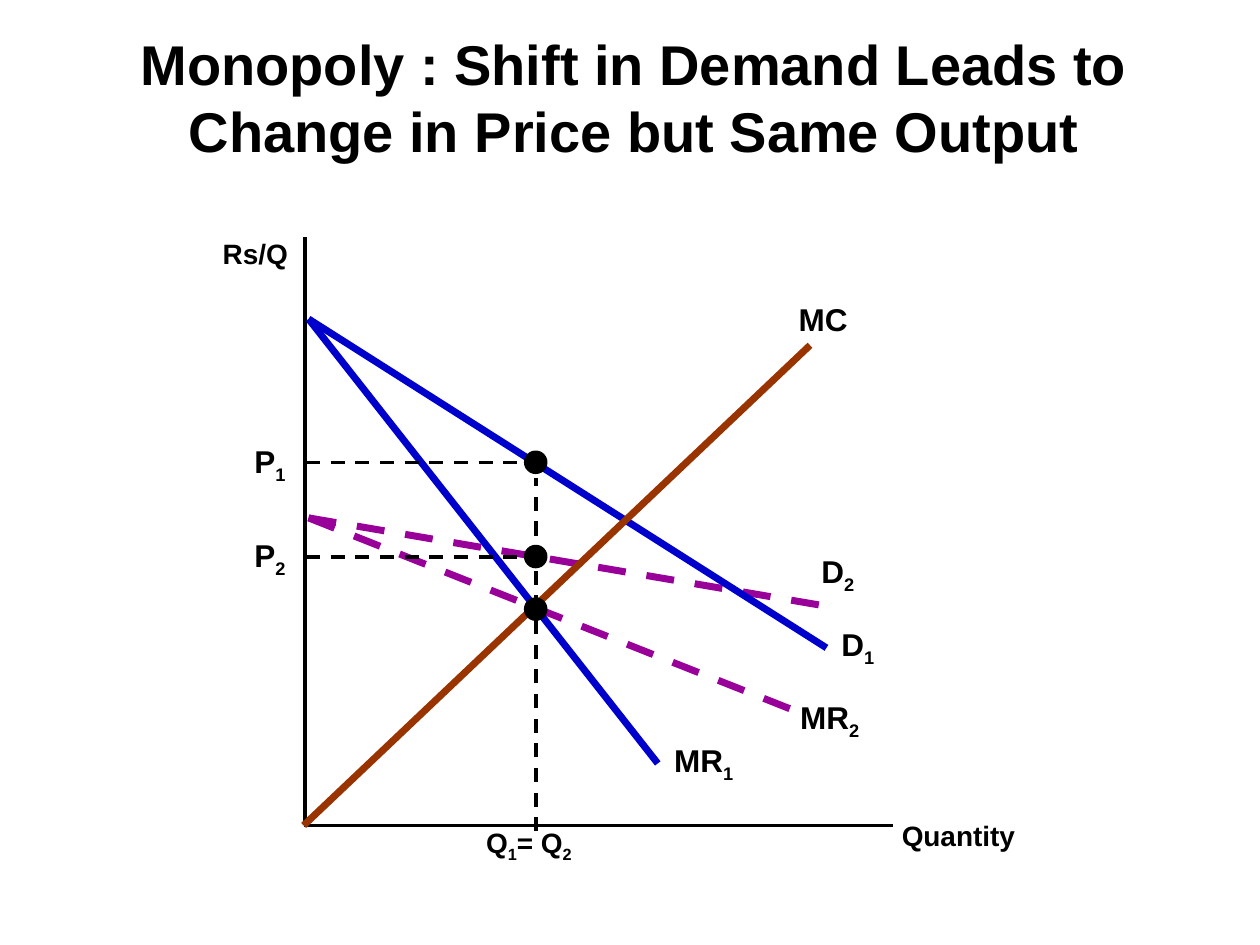
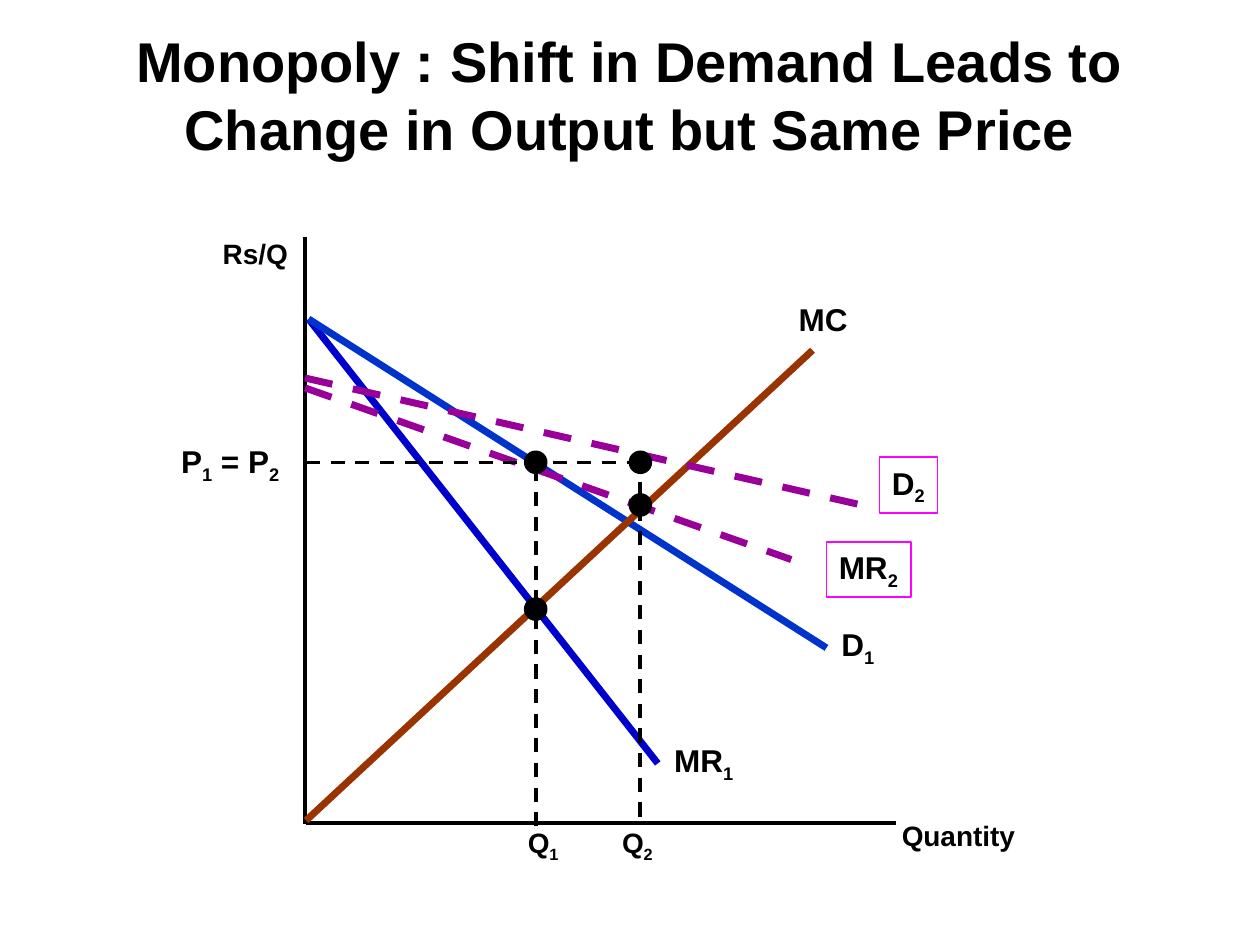
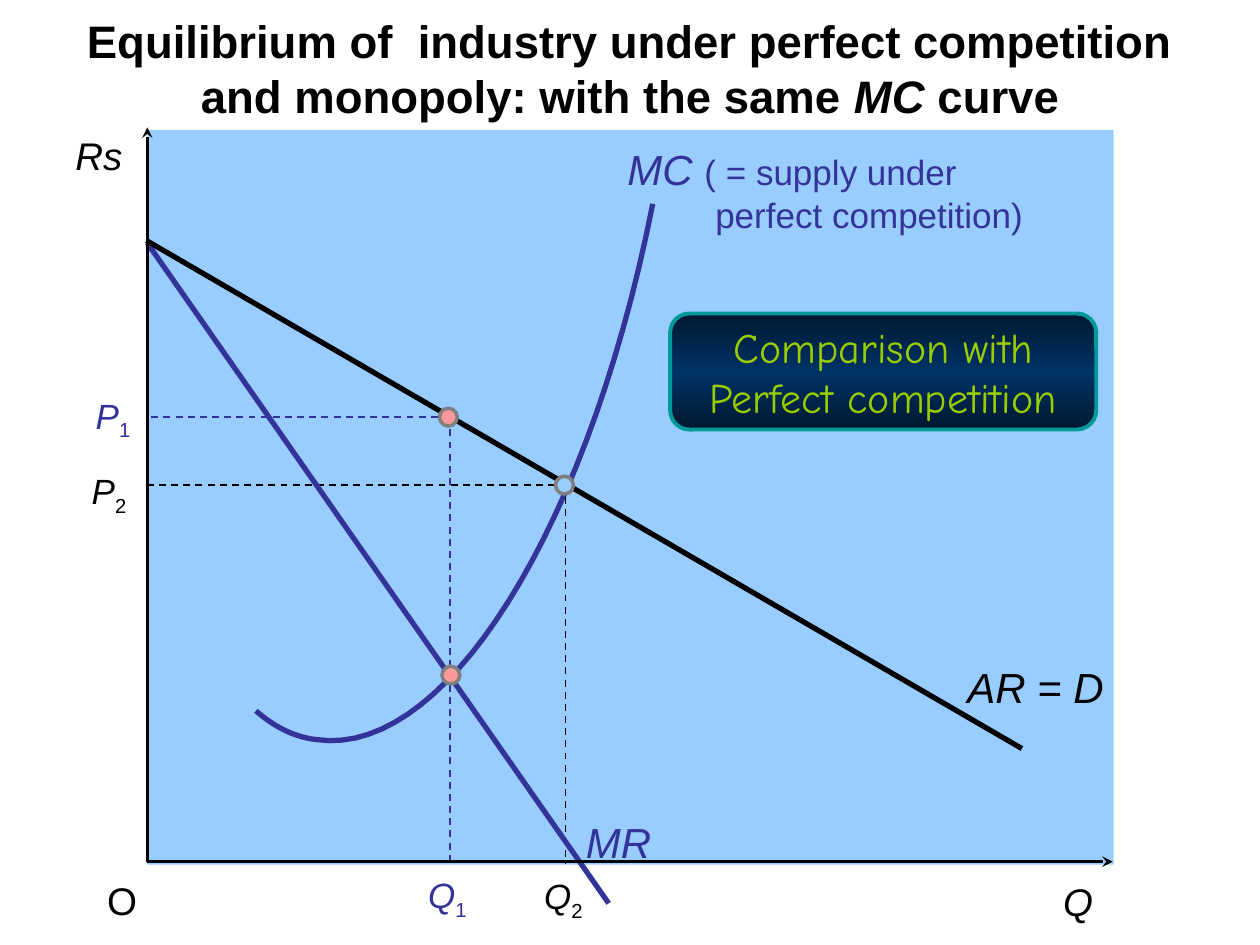
from copy import deepcopy

from lxml.etree import SubElement
from pptx import Presentation
from pptx.dml.color import RGBColor
from pptx.enum.dml import MSO_LINE
from pptx.enum.shapes import MSO_CONNECTOR, MSO_SHAPE
from pptx.enum.text import MSO_ANCHOR as ANCHOR, PP_ALIGN as ALIGN
from pptx.oxml.ns import qn
from pptx.util import Cm, Pt

BLACK = RGBColor(0x00, 0x00, 0x00)
BLUE = RGBColor(0x00, 0x00, 0xCC)
ROYAL = RGBColor(0x00, 0x33, 0xCC)
PURPLE = RGBColor(0x99, 0x00, 0x99)
BROWN = RGBColor(0x99, 0x33, 0x00)
MAGENTA = RGBColor(0xFF, 0x00, 0xFF)
INDIGO = RGBColor(0x33, 0x33, 0x99)
SKY = RGBColor(0x99, 0xCC, 0xFF)
SALMON = RGBColor(0xFF, 0x99, 0x99)
GREY = RGBColor(0x80, 0x80, 0x80)
TEAL = RGBColor(0x00, 0x99, 0x99)
LIME = RGBColor(0x99, 0xCC, 0x00)
NAVY = RGBColor(0x00, 0x33, 0x66)
NIGHT = RGBColor(0x00, 0x18, 0x2F)


def write(box, text, size, color=BLACK, bold=False, align=ALIGN.LEFT,
          anchor=ANCHOR.TOP, wrap=False, font="Arial"):
    """Pieces are split by |; a leading _ makes a subscript, a leading / italics."""
    frame = box.text_frame
    frame.word_wrap = wrap
    frame.vertical_anchor = anchor
    for number, line in enumerate(text.split("\n")):
        para = frame.add_paragraph() if number else frame.paragraphs[0]
        para.alignment = align
        para.font.name = font
        para.font.size = Pt(size)
        para.font.bold = bold
        para.font.color.rgb = color
        for piece in line.split("|"):
            span = para.add_run()
            span.text = piece.lstrip("_/")
            if piece.startswith("/"):
                span.font.italic = True
            elif piece.startswith("_"):
                span.font._element.set("baseline", "-25000")
    return frame


def draw_line(page, ends, color, width, dashed=False, arrow=False):
    line = page.shapes.add_connector(MSO_CONNECTOR.STRAIGHT, *map(Cm, ends))
    line.line.color.rgb = color
    line.line.width = Pt(width)
    if dashed:
        line.line.dash_style = MSO_LINE.DASH
    properties = line._element.spPr
    if arrow:
        SubElement(properties.find(qn("a:ln")), qn("a:tailEnd"), type="stealth")
    SubElement(properties, qn("a:effectLst"))


deck = Presentation()
deck.slide_width = Cm(25.4)
deck.slide_height = Cm(19.05)
blank = deck.slide_layouts[6]

mr1 = ((6.22, 6.43, 13.26, 15.39), BLUE, False)
d1_ends = (6.22, 6.43, 16.66, 13.06)
shared_labels = [
    ("D|_1", 16.71, 12.47, 1.17, 1.12, 18),
    ("MR|_1", 13.34, 14.81, 1.7, 1.12, 18),
    ("MC", 15.85, 5.92, 1.5, 1.02, 18),
    ("Rs/Q", 4.24, 4.65, 1.83, 0.93, 16),
    ("Quantity", 17.93, 16.38, 2.79, 0.93, 16),
]
monopoly_pages = [
    {
        "title": "Monopoly : Shift in Demand Leads to\nChange in Price but Same Output",
        "title_area": (1.7, 0.84, 22.17, 2.59),
        "quantity_axis": (6.12, 16.64, 18.01, 16.64),
        "curves": [
            ((6.22, 10.44, 16.03, 14.33), PURPLE, True),
            ((6.22, 10.44, 16.66, 12.22), PURPLE, True),
            mr1,
            (d1_ends, BLUE, False),
            ((6.12, 16.64, 16.33, 6.96), BROWN, False),
        ],
        "guides": [
            (6.17, 11.23, 10.77, 11.23),
            (6.17, 9.32, 10.77, 9.32),
            (10.8, 16.76, 10.8, 9.63),
        ],
        "dots": [(10.8, 12.28), (10.8, 11.22), (10.8, 9.32)],
        "labels": [
            ("D|_2", 16.31, 11, 1.17, 1.12, 18),
            ("MR|_2", 15.88, 13.94, 1.7, 1.12, 18),
            ("P|_2", 4.88, 10.69, 1.14, 1.12, 18),
            ("P|_1", 4.88, 8.79, 1.14, 1.12, 18),
            ("Q|_1|= Q|_2", 9.55, 16.51, 2.24, 1.02, 16),
        ],
        "framed_labels": [],
    },
    {
        "title": "Monopoly : Shift in Demand Leads to\nChange in Output but Same Price",
        "title_area": (1.27, 0.64, 22.86, 2.74),
        "quantity_axis": (6.17, 16.59, 18.06, 16.59),
        "curves": [
            mr1,
            (d1_ends, ROYAL, False),
            ((6.17, 16.54, 16.38, 7.06), BROWN, False),
            ((6.15, 7.82, 15.95, 11.28), PURPLE, True),
            ((6.15, 7.62, 17.63, 10.24), PURPLE, True),
        ],
        "guides": [
            (6.17, 9.32, 12.88, 9.32),
            (10.8, 16.66, 10.8, 9.53),
            (12.9, 16.46, 12.9, 9.27),
        ],
        "dots": [(10.8, 12.28), (10.8, 9.32), (12.91, 10.18), (12.91, 9.32)],
        "labels": [
            ("P|_1| = P|_2", 3.4, 8.79, 2.49, 1.12, 18),
            ("Q|_1", 10.39, 16.51, 1.12, 1.02, 16),
            ("Q|_2", 12.29, 16.51, 1.12, 1.02, 16),
        ],
        "framed_labels": [
            ("MR|_2", 16.66, 10.92, 1.7, 1.12, 18),
            ("D|_2", 17.73, 9.22, 1.17, 1.12, 18),
        ],
    },
]

for content in monopoly_pages:
    page = deck.slides.add_slide(blank)
    title = page.shapes.add_textbox(*map(Cm, content["title_area"]))
    write(title, content["title"], 32, bold=True, align=ALIGN.CENTER,
          anchor=ANCHOR.BOTTOM, wrap=True)
    draw_line(page, (6.15, 4.78, 6.15, 16.61), BLACK, 2)
    draw_line(page, content["quantity_axis"], BLACK, 2)
    for ends, color, dashed in content["curves"]:
        draw_line(page, ends, color, 4, dashed)
    for ends in content["guides"]:
        draw_line(page, ends, BLACK, 2, dashed=True)
    for x, y in content["dots"]:
        dot = page.shapes.add_shape(MSO_SHAPE.OVAL, Cm(x - 0.22), Cm(y - 0.22), Cm(0.44), Cm(0.44))
        dot.shadow.inherit = False
        dot.fill.solid()
        dot.fill.fore_color.rgb = BLACK
        dot.line.color.rgb = BLACK
        dot.line.width = Pt(1)
    for label in shared_labels + content["labels"] + content["framed_labels"]:
        text, *area, size = label
        box = page.shapes.add_textbox(*map(Cm, area))
        write(box, text, size, bold=True)
        if label in content["framed_labels"]:
            box.line.color.rgb = MAGENTA
            box.line.width = Pt(1)

page = deck.slides.add_slide(blank)
plot = page.shapes.add_shape(MSO_SHAPE.RECTANGLE, Cm(2.97), Cm(2.62), Cm(19.48), Cm(14.81))
plot.shadow.inherit = False
plot.fill.solid()
plot.fill.fore_color.rgb = SKY
plot.line.fill.background()

mc_start = (13.16, 4.11)
mc_segments = [
    ((11.86, 10.69), (8.97, 15.29), (6.38, 14.91)),
    ((5.94, 14.86), (5.54, 14.66), (5.16, 14.33)),
]
steps = 30
mc_points = []
start = mc_start
for first, second, end in mc_segments:
    for step in range(1, steps + 1):
        t = step / steps
        mc_points.append([
            Cm((1 - t) ** 3 * a + 3 * (1 - t) ** 2 * t * b + 3 * (1 - t) * t ** 2 * c + t ** 3 * d)
            for a, b, c, d in zip(start, first, second, end)
        ])
    start = end
outline = page.shapes.build_freeform(*map(Cm, mc_start))
outline.add_line_segments(mc_points, close=False)
mc_curve = outline.convert_to_shape()
mc_curve.shadow.inherit = False
mc_curve.fill.background()
mc_curve.line.color.rgb = INDIGO
mc_curve.line.width = Pt(3)

for ends, color in [
    ((9.07, 17.37, 9.07, 8.41), INDIGO),
    ((9.07, 8.41, 2.97, 8.41), INDIGO),
    ((11.4, 9.78, 11.4, 17.42), BLACK),
    ((11.43, 9.78, 2.97, 9.78), BLACK),
]:
    draw_line(page, ends, color, 1, dashed=True)
draw_line(page, (2.97, 4.9, 12.27, 18.21), INDIGO, 3)
draw_line(page, (2.95, 4.85, 20.6, 15.09), BLACK, 3)
for axis_end in [(2.97, 2.57), (22.43, 17.37)]:
    draw_line(page, (2.97, 17.37, *axis_end), BLACK, 2, arrow=True)

for x, y, color in [(9.09, 13.61, SALMON), (11.38, 9.78, SKY), (9.04, 8.41, SALMON)]:
    dot = page.shapes.add_shape(MSO_SHAPE.OVAL, Cm(x - 0.18), Cm(y - 0.18), Cm(0.36), Cm(0.36))
    dot.shadow.inherit = False
    dot.fill.solid()
    dot.fill.fore_color.rgb = color
    dot.line.color.rgb = GREY
    dot.line.width = Pt(2)

for text, *area, size, color in [
    ("/Rs", 1.27, 2.54, 1.68, 1.19, 22, BLACK),
    ("/Q", 21.18, 17.58, 1.32, 1.19, 22, BLACK),
    ("O", 1.91, 17.55, 1.12, 1.19, 22, BLACK),
    ("/Q|_1", 8.38, 17.48, 1.3, 1.22, 20, INDIGO),
    ("/Q|_2", 10.72, 17.5, 1.3, 1.22, 20, BLACK),
    ("/P|_1", 1.68, 7.82, 1.22, 1.22, 20, INDIGO),
    ("/P|_2", 1.6, 9.35, 1.22, 1.22, 20, BLACK),
    ("/MR", 11.56, 16.33, 1.83, 1.27, 24, INDIGO),
    ("/AR = D", 19.25, 13.21, 3.28, 1.27, 24, BLACK),
]:
    box = page.shapes.add_textbox(*map(Cm, area))
    write(box, text, size, color)

supply = page.shapes.add_textbox(Cm(12.4), Cm(2.77), Cm(8.48), Cm(2.11))
frame = write(supply, "/MC |( = supply under\nperfect competition)", 20, INDIGO)
frame.paragraphs[0].runs[0].font.size = Pt(24)
frame.paragraphs[1]._p.get_or_add_pPr().set("marL", str(Cm(1.77)))

callout = page.shapes.add_shape(MSO_SHAPE.ROUNDED_RECTANGLE, Cm(13.51), Cm(6.32), Cm(8.59), Cm(2.34))
callout.shadow.inherit = False
callout.fill.gradient()
callout.fill.gradient_angle = 90
stop_list = callout._element.spPr.find(".//" + qn("a:gsLst"))
stop_list.insert(1, deepcopy(stop_list[0]))
for stop, position, color in zip(callout.fill.gradient_stops, (0, 0.5, 1), (NIGHT, NAVY, NIGHT)):
    stop.position = position
    stop.color.rgb = color
callout.line.color.rgb = TEAL
callout.line.width = Pt(2.25)
write(callout, "Comparison with\nPerfect competition", 24, LIME, align=ALIGN.CENTER,
      anchor=ANCHOR.MIDDLE, font="Comic Neue")

title = page.shapes.add_textbox(Cm(1.27), Cm(0.43), Cm(22.86), Cm(1.88))
write(title, "Equilibrium of  industry under perfect competition and monopoly: with the same |/MC| curve",
      26, bold=True, align=ALIGN.CENTER, anchor=ANCHOR.MIDDLE, wrap=True)

deck.save("out.pptx")
